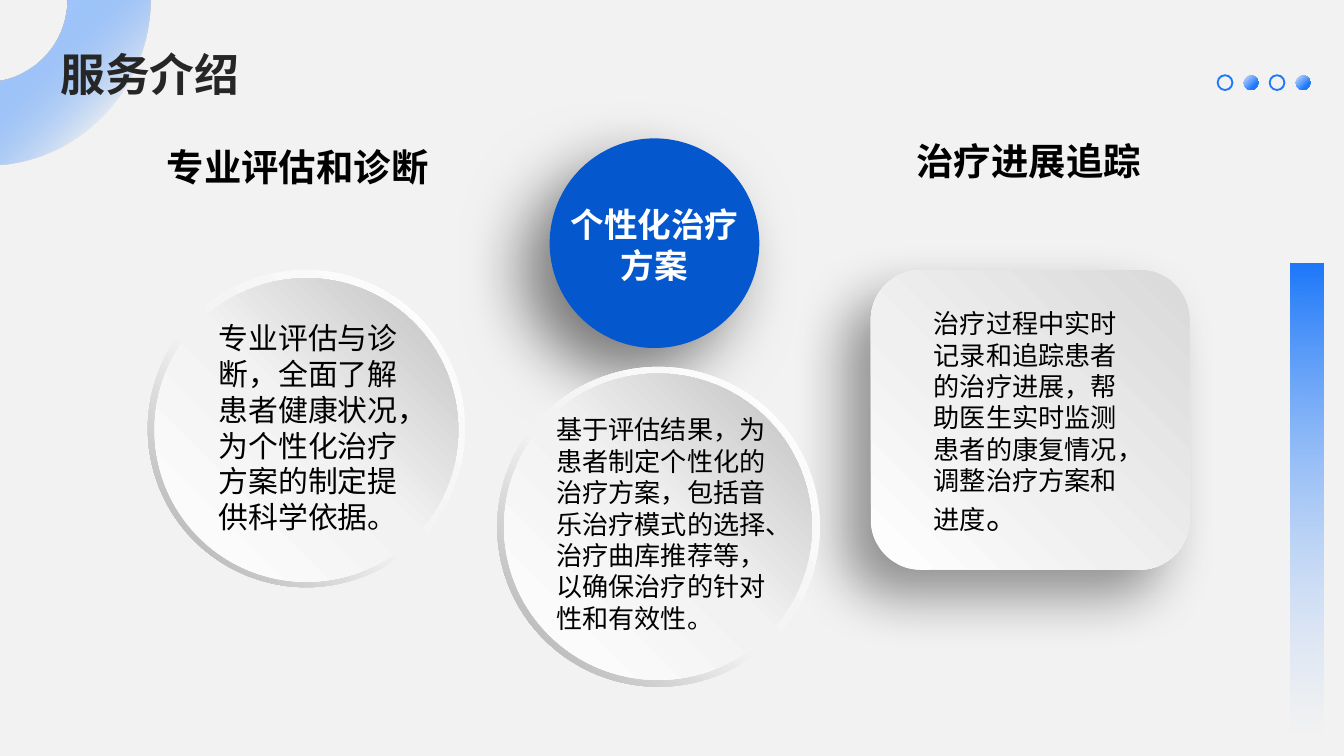
from lxml.etree import SubElement
from pptx import Presentation
from pptx.dml.color import RGBColor
from pptx.enum.shapes import MSO_SHAPE
from pptx.enum.text import PP_ALIGN
from pptx.oxml.ns import qn
from pptx.util import Inches, Pt

COLORS = {
    "back": "F2F2F2", "blue": "1D78FA", "sky": "A5C9FD", "deep": "0557CD",
    "white": "FFFFFF", "pale": "F0F0F0", "light": "D9D9D9", "mid": "BFBFBF",
    "gray": "A6A6A6", "ink": "262626", "black": "000000",
}
HEAD, BODY = "Noto Sans CJK SC", "Calibri"

BAR = [(0, "sky", 0), (100, "blue", 100)]
ARC = [(18, "sky", 100), (75, "blue", 0)]
DOT = [(18, "sky", 100), (75, "blue", 100)]
RIM = [(0, "white", 100), (55, "back", 100), (100, "gray", 100)]
DISC = [(0, "white", 100), (51, "back", 100), (100, "mid", 100)]
CARD = [(0, "white", 100), (42, "pale", 100), (100, "light", 100)]

TITLE = ("服务介绍", (0.35, 0.3, 3.45, 0.5), 24, "ink")
LABELS = [
    ("专业评估和诊断", (1.08, 1.07, 2.27, 0.3), 20, "black"),
    ("个性化治疗方案", (4.22, 1.52, 1.3, 0.65), 18, "white"),
    ("治疗进展追踪", (6.39, 1.03, 2.53, 0.34), 20, "black"),
]
NOTES = [
    (["专业评估与诊断，全面了解患者健康状况，为个性化治疗方案的制定提供科学依据。"],
     (1.53, 2.33, 1.61, 1.42), 16),
    (["治疗过程中实时记录和追踪患者的治疗进展，帮助医生实时监测患者的康复情况，调整治疗方案和进度", "。"],
     (6.85, 2.24, 1.7, 1.82), 14),
    (["基于评估结果，为患者制定个性化的治疗方案，包括音乐治疗模式的选择、治疗曲库推荐等，以确保治疗的针对性和有效性。"],
     (4.04, 3.03, 1.8, 1.73), 14),
]
RINGS = [
    ((1.1, 2.01, 2.36, 2.36), (1.15, 2.07, 2.26, 2.26)),
    ((3.7, 2.73, 2.4, 2.38), (3.75, 2.78, 2.29, 2.28)),
]

deck = Presentation()
deck.slide_width = Inches(10)
deck.slide_height = deck.slide_width * 9 // 16
slide = deck.slides.add_slide(deck.slide_layouts[6])
shapes = slide.shapes


def color(name):
    return RGBColor.from_string(COLORS[name])


def blend(shape, stops, angle):
    shape.fill.background()
    old = shape._element.spPr.find(qn("a:noFill"))
    grad = old.makeelement(qn("a:gradFill"), {"rotWithShape": "1"})
    old.getparent().replace(old, grad)
    group = SubElement(grad, qn("a:gsLst"))
    for pos, name, alpha in stops:
        stop = SubElement(group, qn("a:gs"), pos=str(pos * 1000))
        tint = SubElement(stop, qn("a:srgbClr"), val=COLORS[name])
        if alpha < 100:
            SubElement(tint, qn("a:alpha"), val=str(alpha * 1000))
    SubElement(grad, qn("a:lin"), ang=str(angle * 60000), scaled="0")


def draw(kind, box, stops=None, angle=0):
    shape = shapes.add_shape(kind, *map(Inches, box))
    shape.shadow.inherit = False
    shape.line.fill.background()
    if stops:
        blend(shape, stops, angle)
    return shape


def shade(shape, alpha, blur):
    effect = shape._element.spPr.find(qn("a:effectLst"))
    outer = SubElement(effect, qn("a:outerShdw"), blurRad=str(Pt(blur)),
                       dist=str(Pt(20)), dir=str(135 * 60000),
                       algn="tr", rotWithShape="0")
    tint = SubElement(outer, qn("a:srgbClr"), val=COLORS["black"])
    SubElement(tint, qn("a:alpha"), val=str(alpha * 1000))


def write(texts, box, size, tone, face, label=False):
    frame = shapes.add_textbox(*map(Inches, box)).text_frame
    frame.word_wrap = True
    para = frame.paragraphs[0]
    if label:
        frame.margin_left = frame.margin_right = 0
        frame.margin_top = frame.margin_bottom = 0
        para.alignment = PP_ALIGN.CENTER
    for text in texts:
        para.add_run().text = text
    font = para.font
    font.name, font.size, font.bold = face, Pt(size), face == HEAD
    font.color.rgb = color(tone)
    return para


def curve(a, b, c, d, steps=32):
    for i in range(1, steps + 1):
        t = i / steps
        u = 1 - t
        yield tuple(Inches(u**3 * p + 3 * u * u * t * q + 3 * u * t * t * r + t**3 * s)
                    for p, q, r, s in zip(a, b, c, d))


def corner():
    path = shapes.build_freeform(Inches(0.5), 0)
    path.add_line_segments([(Inches(1.12), 0)], close=False)
    path.add_line_segments(curve((1.12, 0), (1.12, 0.64), (0.63, 1.16), (0.02, 1.22)), close=False)
    path.add_line_segments([(0, Inches(1.22)), (0, Inches(0.6)), (Inches(0.01), Inches(0.6))], close=False)
    path.add_line_segments(curve((0.01, 0.6), (0.29, 0.54), (0.5, 0.3), (0.5, 0)))
    shape = path.convert_to_shape()
    shape.shadow.inherit = False
    shape.line.fill.background()
    blend(shape, ARC, 45)


def ring(outer, inner):
    rim = draw(MSO_SHAPE.DONUT, outer, RIM, 135)
    rim.adjustments[0] = 0.05
    draw(MSO_SHAPE.OVAL, inner, DISC, 315)


def note(texts, box, size):
    para = write(texts, box, size, "black", BODY)
    for run in para.runs[1:]:
        run.font.size = Pt(18)


def label(text, box, size, tone):
    write([text], box, size, tone, HEAD, True)


slide.background.fill.solid()
slide.background.fill.fore_color.rgb = color("back")
draw(MSO_SHAPE.RECTANGLE, (9.6, 1.96, 0.25, 3.5), BAR, 270)
corner()
text, box, size, tone = TITLE
write([text], box, size, tone, HEAD)

for i in range(4):
    dot = draw(MSO_SHAPE.OVAL, (9.06 + i * 0.58 / 3, 0.56, 0.11, 0.11))
    if i % 2:
        blend(dot, DOT, 45)
    else:
        dot.fill.background()
        dot.line.color.rgb = color("blue")
        dot.line.width = Pt(1)

label(*LABELS[0])
ring(*RINGS[0])
note(*NOTES[0])

hub = draw(MSO_SHAPE.OVAL, (4.09, 1.03, 1.56, 1.56))
hub.fill.solid()
hub.fill.fore_color.rgb = color("deep")
shade(hub, 50, 35)
label(*LABELS[1])

card = draw(MSO_SHAPE.ROUNDED_RECTANGLE, (6.48, 2.01, 2.37, 2.23), CARD, 315)
shade(card, 40, 30)
note(*NOTES[1])
label(*LABELS[2])

ring(*RINGS[1])
note(*NOTES[2])

deck.save("out.pptx")
